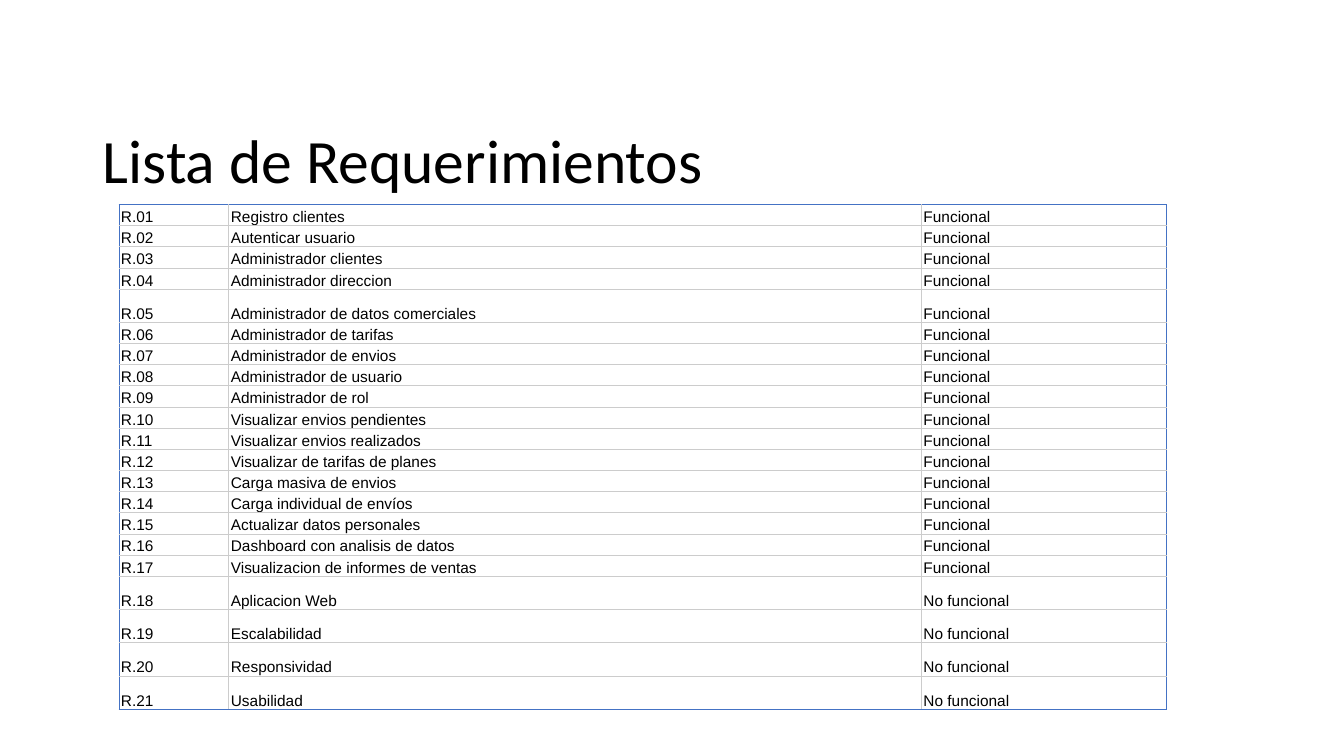
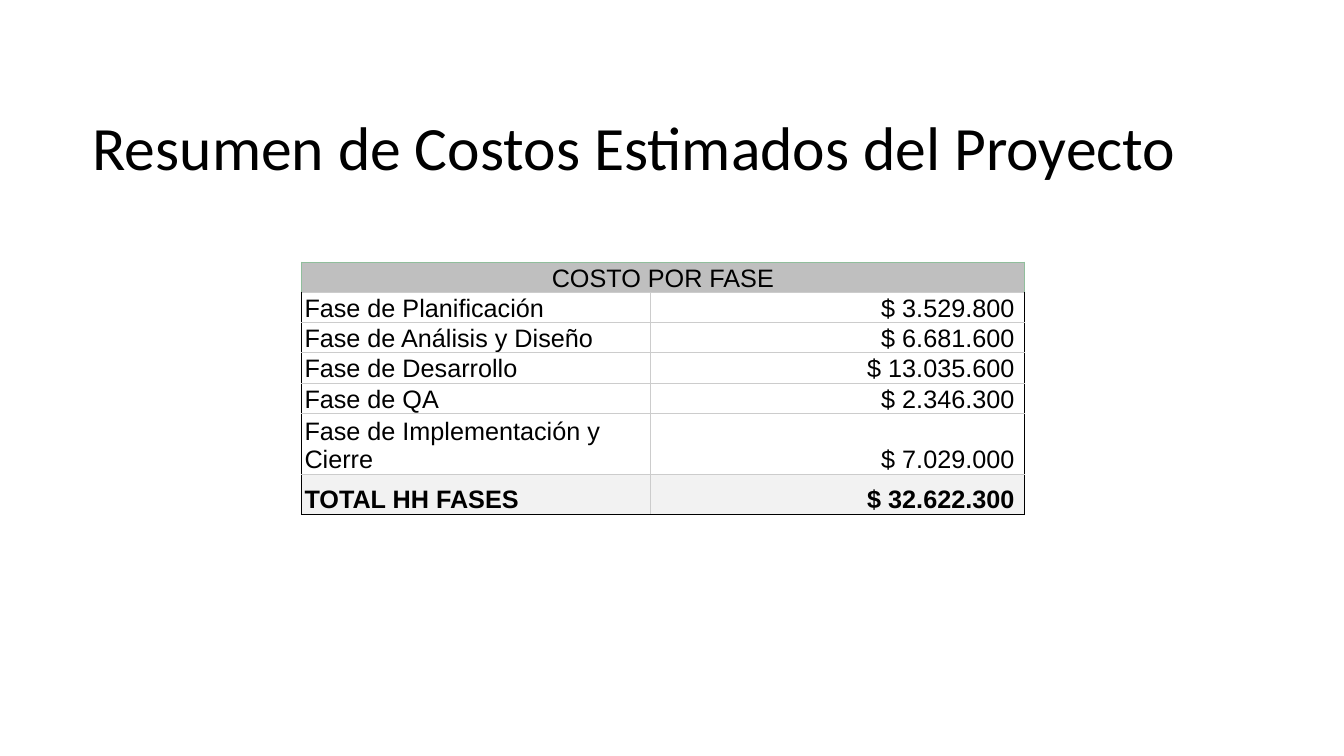
from dataclasses import dataclass

from lxml import etree
from pptx import Presentation
from pptx.dml.color import RGBColor as RGB
from pptx.enum.text import MSO_ANCHOR as Anchor, PP_ALIGN as Align
from pptx.oxml.ns import qn
from pptx.util import Inches, Pt


@dataclass(frozen=True)
class Theme:
    title_font: str = "Calibri"
    table_font: str = "Arial"
    title_size: int = 44
    list_size: int = 11
    cost_size: int = 18
    text: str = "000000"
    paper: str = "FFFFFF"
    grid: str = "CCCCCC"
    blue: str = "4472C4"
    green: str = "90BE9C"
    header: str = "BFBFBF"
    total: str = "F2F2F2"
    border: float = 0.75


class Deck:
    def __init__(self, theme):
        self.theme = theme
        self.prs = Presentation()
        self.prs.slide_width = Inches(13.33)
        self.prs.slide_height = Inches(7.5)
        self.s = None

    def slide(self, title, left, top):
        self.s = self.prs.slides.add_slide(self.prs.slide_layouts[6])
        box = self.s.shapes.add_textbox(
            Inches(left), Inches(top), Inches(11.5), Inches(1.45))
        tf = box.text_frame
        tf.word_wrap = True
        tf.vertical_anchor = Anchor.MIDDLE
        p = tf.paragraphs[0]
        p.text = title
        p.line_spacing = 0.9
        self.style(p, self.theme.title_font, self.theme.title_size)

    def style(self, p, name, size, bold=False):
        for r in p.runs:
            r.font.name = name
            r.font.size = Pt(size)
            r.font.bold = bold
            r.font.color.rgb = RGB.from_string(self.theme.text)

    def table(self, rows, left, top, widths, heights, size, frame, inset, aligns):
        sp = self.s.shapes.add_table(
            len(rows), len(widths), Inches(left), Inches(top),
            Inches(sum(widths)), Inches(sum(heights)))
        tbl = sp.table
        tbl.first_row = tbl.horz_banding = False
        for column, width in zip(tbl.columns, widths):
            column.width = Inches(width)
        for row, height in zip(tbl.rows, heights):
            row.height = Inches(height)
        last_row, last_col = len(rows) - 1, len(widths) - 1
        for i, values in enumerate(rows):
            for j, value in enumerate(values):
                cell = tbl.cell(i, j)
                outer = {"L": j == 0, "R": j == last_col,
                         "T": i == 0, "B": i == last_row}
                self.borders(cell, {side: frame if edge else self.theme.grid
                                    for side, edge in outer.items()})
                self.fill(cell, self.theme.paper)
                cell.margin_left = cell.margin_right = Inches(inset)
                cell.margin_top = cell.margin_bottom = 0
                cell.vertical_anchor = Anchor.BOTTOM
                p = cell.text_frame.paragraphs[0]
                p.text = value
                p.alignment = aligns[j]
                self.style(p, self.theme.table_font, size)
        return tbl

    def fill(self, cell, color):
        cell.fill.solid()
        cell.fill.fore_color.rgb = RGB.from_string(color)

    def borders(self, cell, colors):
        tc_pr = cell._tc.get_or_add_tcPr()
        for index, (side, color) in enumerate(colors.items()):
            tag = qn(f"a:ln{side}")
            for old in tc_pr.findall(tag):
                tc_pr.remove(old)
            ln = etree.Element(tag, w=str(Pt(self.theme.border)))
            solid = etree.SubElement(ln, qn("a:solidFill"))
            etree.SubElement(solid, qn("a:srgbClr"), val=color)
            tc_pr.insert(index, ln)

    def header_row(self, tbl):
        first, last = tbl.cell(0, 0), tbl.cell(0, len(tbl.columns) - 1)
        for cell in (first, last):
            self.borders(cell, {"L": self.theme.green, "R": self.theme.green,
                                "T": self.theme.green, "B": self.theme.grid})
            self.fill(cell, self.theme.header)
        first.merge(last)
        first.text_frame.paragraphs[0].alignment = Align.CENTER

    def total_row(self, tbl):
        for cell in tbl.rows[len(tbl.rows) - 1].cells:
            self.fill(cell, self.theme.total)
            for r in cell.text_frame.paragraphs[0].runs:
                r.font.bold = True


FUNCTIONAL = [
    "Registro clientes", "Autenticar usuario", "Administrador clientes",
    "Administrador direccion", "Administrador de datos comerciales",
    "Administrador de tarifas", "Administrador de envios",
    "Administrador de usuario", "Administrador de rol",
    "Visualizar envios pendientes", "Visualizar envios realizados",
    "Visualizar de tarifas de planes", "Carga masiva de envios",
    "Carga individual de envíos", "Actualizar datos personales",
    "Dashboard con analisis de datos", "Visualizacion de informes de ventas",
]
NON_FUNCTIONAL = ["Aplicacion Web", "Escalabilidad", "Responsividad", "Usabilidad"]
COSTS = [
    ("COSTO POR FASE", ""),
    ("Fase de Planificación", "$ 3.529.800 "),
    ("Fase de Análisis y Diseño", "$ 6.681.600 "),
    ("Fase de Desarrollo", "$ 13.035.600 "),
    ("Fase de QA", "$ 2.346.300 "),
    ("Fase de Implementación y Cierre", "$ 7.029.000 "),
    ("TOTAL HH FASES", "$ 32.622.300 "),
]


def requirements_slide(deck):
    deck.slide("Lista de Requerimientos", 0.92, 0.9)
    kinds = ([(name, "Funcional") for name in FUNCTIONAL]
             + [(name, "No funcional") for name in NON_FUNCTIONAL])
    rows = [(f"R.{n:02}", name, kind) for n, (name, kind) in enumerate(kinds, 1)]
    tall = {5, 18, 19, 20, 21}
    heights = [0.33 if n in tall else 0.21 for n in range(1, len(rows) + 1)]
    deck.table(rows, 1.18, 2.03, [1.09, 6.87, 2.43], heights,
               deck.theme.list_size, deck.theme.blue, 0.02, [Align.LEFT] * 3)


def costs_slide(deck):
    deck.slide("Resumen de Costos Estimados del Proyecto", 0.82, 0.77)
    heights = [0.2] * (len(COSTS) - 1) + [0.4]
    tbl = deck.table(COSTS, 2.99, 2.6, [3.46, 3.71], heights,
                     deck.theme.cost_size, deck.theme.text, 0.03,
                     [Align.LEFT, Align.RIGHT])
    deck.header_row(tbl)
    deck.total_row(tbl)


def main():
    deck = Deck(Theme())
    requirements_slide(deck)
    costs_slide(deck)
    deck.prs.save("out.pptx")


if __name__ == "__main__":
    main()
